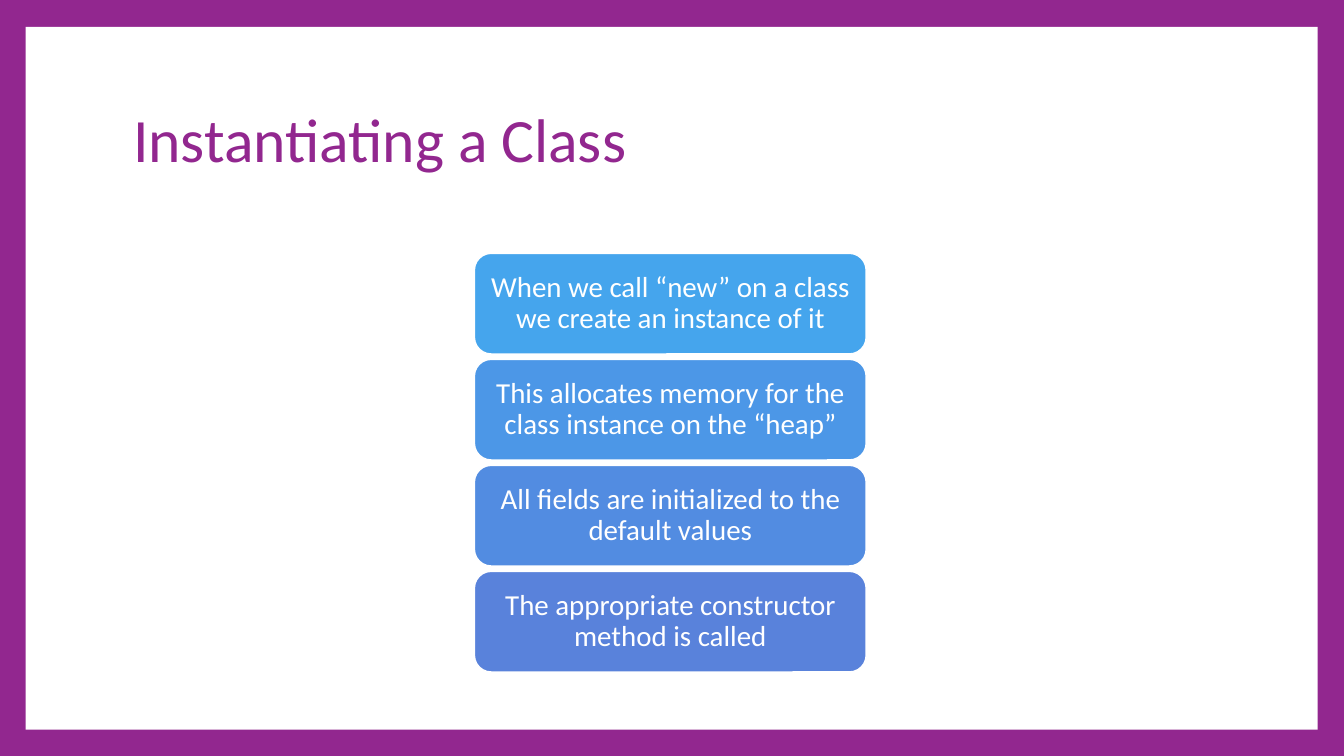
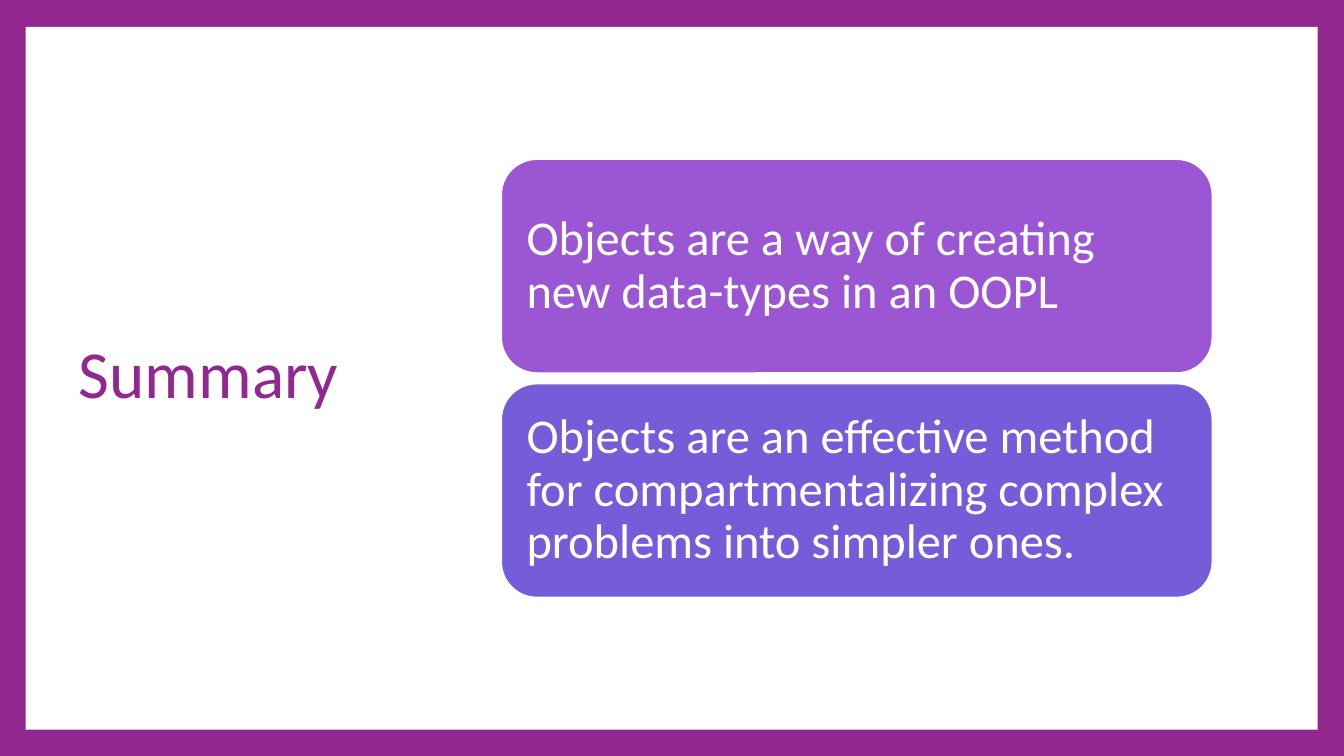
from dataclasses import dataclass

from pptx import Presentation
from pptx.dml.color import RGBColor as RGB
from pptx.enum.shapes import MSO_SHAPE as SHAPE
from pptx.enum.text import MSO_ANCHOR as ANCHOR, MSO_AUTO_SIZE as AUTO, PP_ALIGN as ALIGN
from pptx.util import Inches, Pt


@dataclass(frozen=True)
class Theme:
    font: str = "Calibri"
    accent: str = "92278F"
    paper: str = "FFFFFF"
    steps: tuple = ("45A5ED", "4C97E7", "528CE1", "5982DB")
    points: tuple = ("9B57D3", "755DD9")
    title_size: int = 66
    side_title_size: int = 72
    step_size: int = 31
    point_size: int = 52
    line_spacing: float = 0.9
    outline: float = 1.5


THEME = Theme()
TITLE_ONLY = 5

STEPS = (
    "When we call “new” on a class we create an instance of it",
    "This allocates memory for the class instance on the “heap”",
    "All fields are initialized to the default values",
    "The appropriate constructor method is called",
)
POINTS = (
    "Objects are a way of creating new data-types in an OOPL",
    "Objects are an effective method for compartmentalizing complex "
    "problems into simpler ones.",
)


def set_attrs(obj, values):
    for name, value in values.items():
        setattr(obj, name, value)


def place(sp, box):
    names = ("left", "top", "width", "height")
    set_attrs(sp, dict(zip(names, map(Inches, box))))


def paint(sp, color):
    sp.shadow.inherit = False
    sp.fill.solid()
    sp.fill.fore_color.rgb = RGB.from_string(color)


def write(sp, text, size, color, align, **frame):
    tf = sp.text_frame
    tf.text = text
    set_attrs(tf, dict(word_wrap=True, auto_size=AUTO.NONE,
                       vertical_anchor=ANCHOR.MIDDLE, **frame))
    p = tf.paragraphs[0]
    set_attrs(p, dict(alignment=align, line_spacing=THEME.line_spacing))
    font = p.runs[0].font
    set_attrs(font, dict(name=THEME.font, size=Pt(size)))
    font.color.rgb = RGB.from_string(color)


# Shared frame: coloured background with a white panel on the master
def add_frame(prs, slide, box):
    master = prs.slide_master
    fill = master.background.fill
    fill.solid()
    fill.fore_color.rgb = RGB.from_string(THEME.accent)
    panel = slide.shapes.add_shape(SHAPE.RECTANGLE, *map(Inches, box))
    paint(panel, THEME.paper)
    panel.line.fill.background()
    panel.element.nvSpPr.cNvPr.id = 100
    master.shapes.element.insert(2, panel.element)


def add_title(slide, text, size, box):
    title = slide.shapes.title
    place(title, box)
    write(title, text, size, THEME.accent, ALIGN.LEFT)


# Column of equal rounded cards that fills the box
def add_cards(slide, texts, colors, box, gap, size, align, pad):
    left, top, width, height = box
    card_h = (height - gap * (len(texts) - 1)) / len(texts)
    pad_x, pad_y = map(Inches, pad)
    margins = dict(margin_left=pad_x, margin_right=pad_x,
                   margin_top=pad_y, margin_bottom=pad_y)
    group = slide.shapes.add_group_shape()
    for i, (text, color) in enumerate(zip(texts, colors)):
        card_box = (left, top + i * (card_h + gap), width, card_h)
        card = group.shapes.add_shape(SHAPE.ROUNDED_RECTANGLE, *map(Inches, card_box))
        paint(card, color)
        card.line.color.rgb = RGB.from_string(THEME.paper)
        card.line.width = Pt(THEME.outline)
        write(card, text, size, THEME.paper, align, **margins)


# Title above a centred stack of steps
def build_steps(slide):
    add_title(slide, "Instantiating a Class", THEME.title_size, (1.88, 1, 16.2, 2.23))
    add_cards(slide, STEPS, THEME.steps, (7.06, 3.77, 5.83, 6.23), 0.08,
              THEME.step_size, ALIGN.CENTER, (0.13, 0.06))


# Title at the side of the main points
def build_summary(slide):
    add_title(slide, "Summary", THEME.side_title_size, (1.07, 1, 5.52, 9.2))
    add_cards(slide, POINTS, THEME.points, (7.46, 2.37, 10.58, 6.52), 0.16,
              THEME.point_size, ALIGN.LEFT, (0.22, 0.22))


def main():
    prs = Presentation()
    prs.slide_width, prs.slide_height = Inches(20), Inches(11.25)
    layout = prs.slide_layouts[TITLE_ONLY]
    slides = [prs.slides.add_slide(layout) for _ in range(2)]
    add_frame(prs, slides[0], (0.38, 0.4, 19.23, 10.46))
    for build, slide in zip((build_steps, build_summary), slides):
        build(slide)
    prs.save("out.pptx")


if __name__ == "__main__":
    main()
